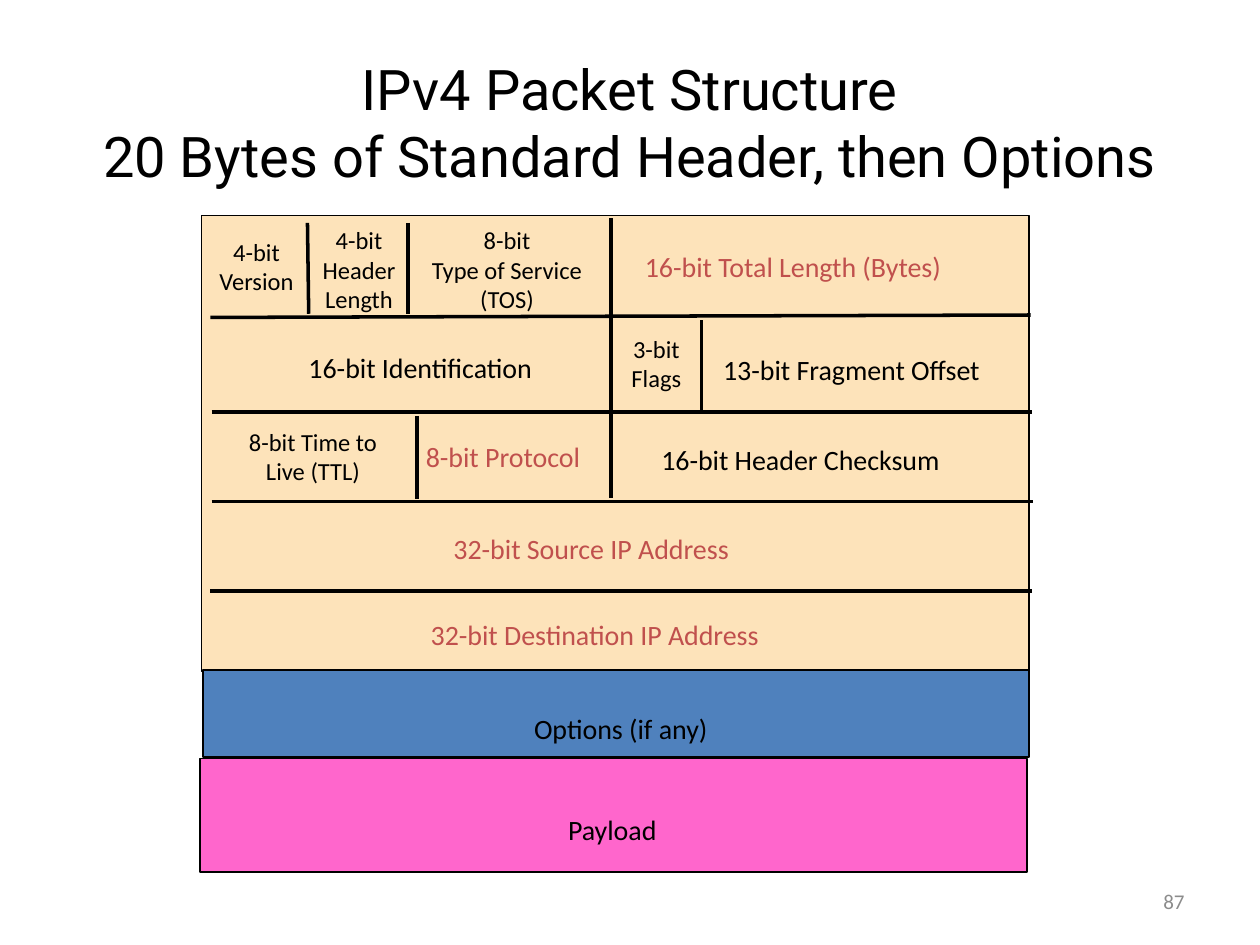
from dataclasses import dataclass
from typing import NamedTuple

import pptx
import pptx.dml.color
import pptx.enum.shapes
import pptx.enum.text
import pptx.oxml.ns
import pptx.util
from lxml import etree

Pt = pptx.util.Pt
Align = pptx.enum.text.PP_ALIGN
Anchor = pptx.enum.text.MSO_ANCHOR
AutoSize = pptx.enum.text.MSO_AUTO_SIZE


@dataclass(frozen=True)
class Theme:
    ink: str = "000000"
    key_field: str = "C0504D"
    number: str = "8C8C8C"
    header: str = "FDE3BA"
    options: str = "4F81BD"
    payload: str = "FF66CC"
    title_font: str = "Roboto"
    body_font: str = "Calibri"
    title_size: float = 32
    field_size: float = 16
    small_size: float = 14
    number_size: float = 12
    outline: float = 1
    divider: float = 2


THEME = Theme()


class Box(NamedTuple):
    left: float
    top: float
    width: float
    height: float


class Band(NamedTuple):
    box: Box
    fill: str


class Divider(NamedTuple):
    x1: float
    y1: float
    x2: float
    y2: float


class Field(NamedTuple):
    """One packet field; several lines are set small and centred."""
    box: Box
    lines: tuple[str, ...]
    color: str = THEME.ink


BANDS = [
    Band(Box(115.2, 123.1, 473, 260.6), THEME.header),
    Band(Box(115.9, 383, 472.3, 49.7), THEME.options),
    Band(Box(114.5, 433.4, 472.3, 64.8), THEME.payload),
]

DIVIDERS = [
    Divider(120.2, 181.4, 589, 180),
    Divider(121, 235.4, 589.7, 235.4),
    Divider(121, 286.6, 590.4, 286.6),
    Divider(120.2, 337.7, 589.7, 337.7),
    Divider(349.2, 124.6, 349.2, 284.4),
    Divider(233.3, 127.4, 233.3, 179.3),
    Divider(175.7, 127.4, 176.4, 179.3),
    Divider(401, 182.9, 401, 234.7),
    Divider(238.3, 237.6, 238.3, 285.1),
]

FIELDS = [
    Field(Box(117.4, 131.8, 58.3, 41), ("4-bit", "Version")),
    Field(Box(176.4, 125.3, 57.6, 58.3), ("4-bit", "Header", "Length")),
    Field(Box(239, 125.3, 101.5, 58.3), ("8-bit", "Type of Service", "(TOS)")),
    Field(Box(361.4, 139, 187.9, 26.6), ("16-bit Total Length (Bytes)",), THEME.key_field),
    Field(Box(169.2, 196.6, 148.3, 26.6), ("16-bit Identification",)),
    Field(Box(353.5, 187.2, 43.2, 41), ("3-bit", "Flags")),
    Field(Box(406.1, 198, 164.2, 26.6), ("13-bit Fragment Offset",)),
    Field(Box(134.6, 240.5, 88.6, 41), ("8-bit Time to", "Live (TTL)")),
    Field(Box(236.2, 247.7, 104.4, 26.6), ("8-bit Protocol",), THEME.key_field),
    Field(Box(370.8, 249.1, 175.7, 26.6), ("16-bit Header Checksum",)),
    Field(Box(252, 300.2, 174.2, 26.6), ("32-bit Source IP Address",), THEME.key_field),
    Field(Box(239, 349.2, 205.2, 26.6), ("32-bit Destination IP Address",), THEME.key_field),
    Field(Box(298.1, 403.2, 115.2, 26.6), ("Options (if any)",)),
    Field(Box(317.5, 460.8, 66.2, 26.6), ("Payload",)),
]


def rgb(color: str) -> pptx.dml.color.RGBColor:
    return pptx.dml.color.RGBColor.from_string(color)


def points(lengths: tuple[float, ...]) -> list[pptx.util.Length]:
    return [Pt(length) for length in lengths]


def write(frame, text: str, *, size: float, color: str = THEME.ink,
          font: str = THEME.body_font, align=Align.LEFT, anchor=Anchor.TOP,
          wrap: bool = True, auto_size=AutoSize.NONE) -> None:
    frame.text = text
    frame.word_wrap = wrap
    frame.auto_size = auto_size
    frame.vertical_anchor = anchor
    for paragraph in frame.paragraphs:
        paragraph.alignment = align
        for run in paragraph.runs:
            run.font.size = Pt(size)
            run.font.name = font
            run.font.color.rgb = rgb(color)


def draw_title(slide, text: str, box: Box) -> None:
    title = slide.shapes.title
    title.left, title.top, title.width, title.height = points(box)
    write(title.text_frame, text, size=THEME.title_size, font=THEME.title_font,
          align=Align.CENTER, anchor=Anchor.BOTTOM)


def draw_band(slide, band: Band) -> None:
    rectangle = slide.shapes.add_shape(
        pptx.enum.shapes.MSO_SHAPE.RECTANGLE, *points(band.box))
    rectangle.shadow.inherit = False
    rectangle.fill.solid()
    rectangle.fill.fore_color.rgb = rgb(band.fill)
    rectangle.line.color.rgb = rgb(THEME.ink)
    rectangle.line.width = Pt(THEME.outline)


def draw_divider(slide, divider: Divider) -> None:
    line = slide.shapes.add_connector(
        pptx.enum.shapes.MSO_CONNECTOR.STRAIGHT, *points(divider))
    line.line.color.rgb = rgb(THEME.ink)
    line.line.width = Pt(THEME.divider)
    etree.SubElement(line._element.spPr, pptx.oxml.ns.qn("a:effectLst"))


def draw_field(slide, field: Field) -> None:
    stacked = len(field.lines) > 1
    label = slide.shapes.add_textbox(*points(field.box))
    write(label.text_frame, "\n".join(field.lines), color=field.color,
          size=THEME.small_size if stacked else THEME.field_size,
          align=Align.CENTER if stacked else Align.LEFT,
          wrap=False, auto_size=AutoSize.SHAPE_TO_FIT_TEXT)


def draw_page_number(slide, number: str, box: Box) -> None:
    label = slide.shapes.add_textbox(*points(box))
    write(label.text_frame, number, size=THEME.number_size, color=THEME.number,
          align=Align.RIGHT, anchor=Anchor.MIDDLE)


def main() -> None:
    deck = pptx.Presentation()
    deck.slide_width, deck.slide_height = Pt(720), Pt(540)
    title_only = deck.slide_layouts[5]
    slide = deck.slides.add_slide(title_only)

    draw_title(slide, "IPv4 Packet Structure\v20 Bytes of Standard Header, then Options",
               Box(36, 21.6, 648, 90))
    for band in BANDS:
        draw_band(slide, band)
    for divider in DIVIDERS:
        draw_divider(slide, divider)
    for field in FIELDS:
        draw_field(slide, field)
    draw_page_number(slide, "87", Box(516, 500.5, 168, 28.8))

    deck.save("out.pptx")


if __name__ == "__main__":
    main()
